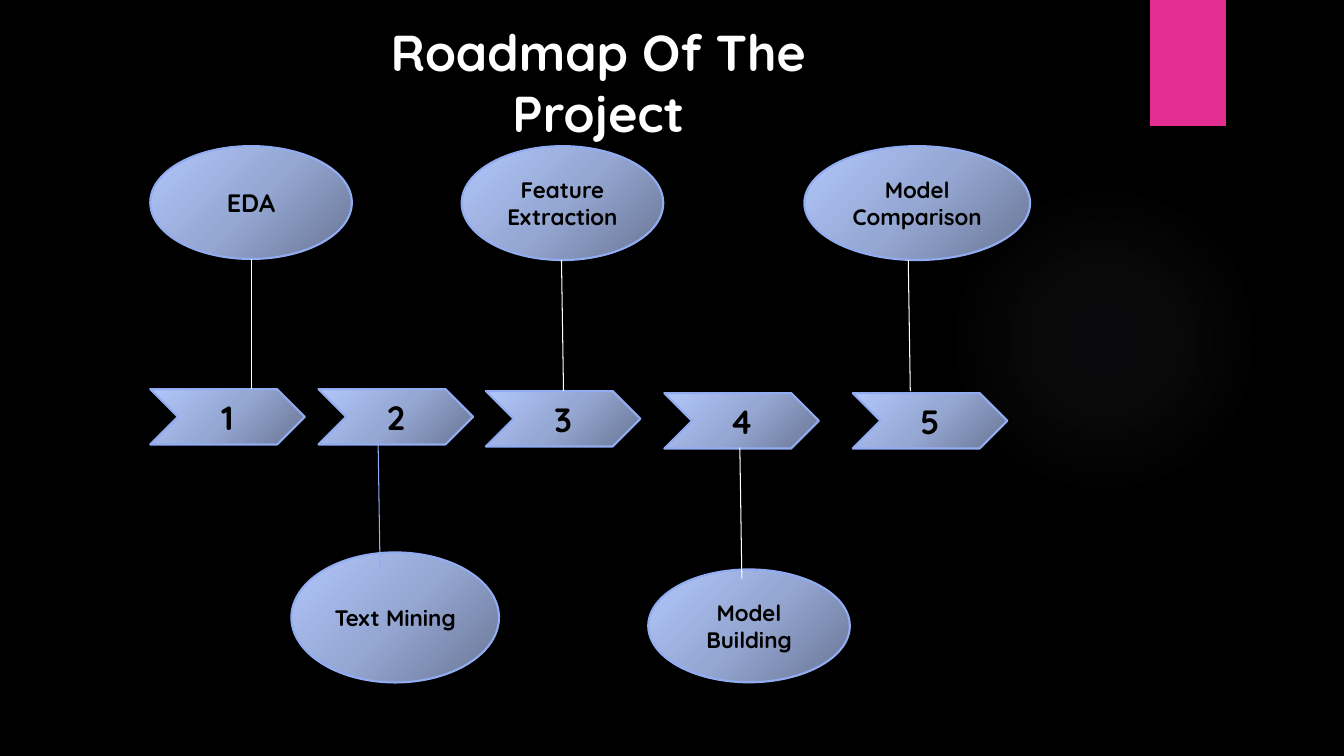
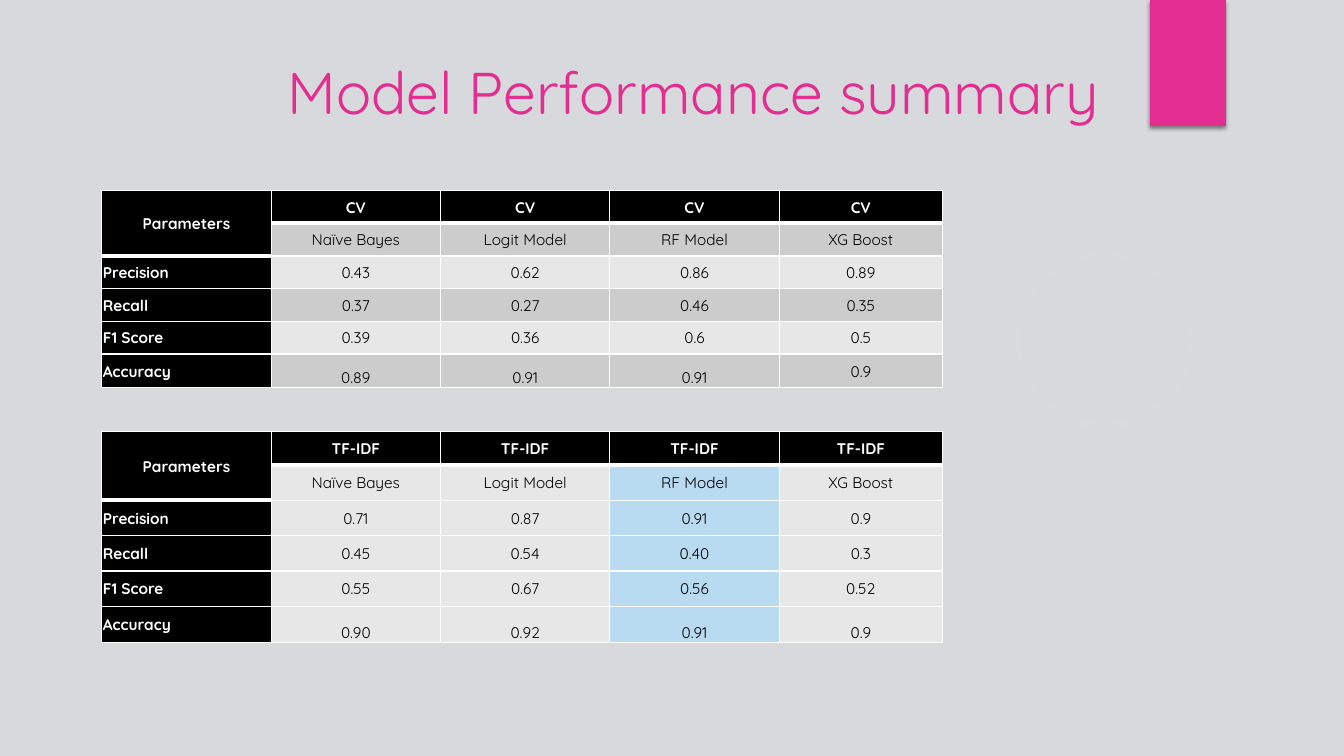
"""Builds two slides: a project roadmap and a summary of model performance."""
import pptx
import pptx.dml.color
import pptx.enum.shapes
import pptx.enum.text
import pptx.oxml
import pptx.oxml.ns
import pptx.util

RGBColor = pptx.dml.color.RGBColor
SHAPES = pptx.enum.shapes.MSO_SHAPE
ALIGN = pptx.enum.text.PP_ALIGN
ANCHOR = pptx.enum.text.MSO_ANCHOR

FONT = "Quicksand"
BLACK = RGBColor(0x00, 0x00, 0x00)
WHITE = RGBColor(0xFF, 0xFF, 0xFF)
PINK = RGBColor(0xE3, 0x2D, 0x91)
PALE_GREY = RGBColor(0xD8, 0xD9, 0xDC)
PERIWINKLE = RGBColor(0x91, 0xAC, 0xF1)
LIGHT_ROW = RGBColor(0xE7, 0xE7, 0xE7)
DARK_ROW = RGBColor(0xCC, 0xCC, 0xCC)
BEST_MODEL = RGBColor(0xB8, 0xDB, 0xF1)
GLOW_ON_BLACK = RGBColor(0x8A, 0x8A, 0x9C)
GLOW_ON_GREY = RGBColor(0xE8, 0xE8, 0xEA)
STEP_STOPS = [
    (0, RGBColor(0x69, 0x75, 0x94), 100),
    (50, RGBColor(0x95, 0xA7, 0xD3), 100),
    (100, RGBColor(0xB1, 0xC6, 0xFA), 100),
]
DIAGONAL = '<a:lin ang="13500000" scaled="0"/>'
RADIAL = '<a:path path="circle"><a:fillToRect l="50000" t="50000" r="50000" b="50000"/></a:path>'
NS = pptx.oxml.ns.nsdecls("a")

deck = pptx.Presentation()
deck.slide_width = pptx.util.Inches(13.33)
deck.slide_height = pptx.util.Inches(7.5)


def box(*percents):
    """Turn alternating shares of slide width and height into lengths."""
    sides = (deck.slide_width, deck.slide_height) * 2
    return [pptx.util.Emu(round(share * side / 100)) for share, side in zip(percents, sides)]


def write(frame, words, size, color, bold=False, align=ALIGN.CENTER, anchor=ANCHOR.MIDDLE):
    """Fill a text frame with one formatted paragraph."""
    frame.text = words
    frame.word_wrap = True
    frame.vertical_anchor = anchor
    paragraph = frame.paragraphs[0]
    paragraph.alignment = align
    font = paragraph.runs[0].font
    font.name, font.size, font.bold = FONT, pptx.util.Pt(size), bold
    font.color.rgb = color


layout = deck.slide_layouts.get_by_name("Title Only")
roadmap = deck.slides.add_slide(layout)
summary = deck.slides.add_slide(layout)
gradients = []

band = roadmap.shapes.add_shape(SHAPES.RECTANGLE, *box(85.58, 0, 5.63, 16.67))
band.fill.solid()
band.fill.fore_color.rgb = PINK
band.line.fill.background()
band.shadow.inherit = False
band.element.spPr.find(pptx.oxml.ns.qn("a:effectLst")).append(pptx.oxml.parse_xml(
    f'<a:outerShdw {NS} blurRad="38100" dist="25400" dir="5400000" rotWithShape="0">'
    f'<a:srgbClr val="{BLACK}"><a:alpha val="45000"/></a:srgbClr></a:outerShdw>'))
layout.shapes.element.append(band.element)

for slide, backdrop, glow_color, heading, area, size, color, bold, align in [
    (roadmap, BLACK, GLOW_ON_BLACK, "Roadmap Of The Project",
     (21.68, 2.13, 45.68, 9.47), 36, WHITE, True, ALIGN.CENTER),
    (summary, PALE_GREY, GLOW_ON_GREY, "Model Performance summary",
     (5.33, 6.67, 77.18, 20.4), 42, PINK, False, ALIGN.RIGHT),
]:
    slide.background.fill.solid()
    slide.background.fill.fore_color.rgb = backdrop
    glow = slide.shapes.add_shape(SHAPES.OVAL, *box(70.58, 24.4, 23.1, 41.07))
    glow.line.fill.background()
    glow.shadow.inherit = False
    gradients.append((glow, [(stop, glow_color, alpha) for stop, alpha in ((0, 7), (36, 6), (69, 0))], RADIAL))
    title = slide.shapes.title
    title.left, title.top, title.width, title.height = box(*area)
    write(title.text_frame, heading, size, color, bold, align, ANCHOR.TOP)
    title.text_frame.auto_size = pptx.enum.text.MSO_AUTO_SIZE.NONE

steps = [
    ("EDA", 18, (11.18, 51.47), (11.18, 19.33, 15, 14.93), (18.68, 34.27, 18.68, 51.47), WHITE),
    ("Text Mining", 16, (23.7, 51.47), (21.68, 73.07, 15.45, 17.2), (28.13, 58.13, 28.28, 75.33), PERIWINKLE),
    ("Feature Extraction", 16, (36.15, 51.73), (34.35, 19.33, 15, 15.07), (41.78, 34.4, 41.93, 51.73), WHITE),
    ("Model Building", 16, (49.43, 52), (48.23, 75.33, 15, 14.93), (55.05, 59.2, 55.2, 76.53), WHITE),
    ("Model Comparison", 16, (63.45, 52), (59.85, 19.33, 16.8, 15.07), (67.58, 34.4, 67.73, 51.73), WHITE),
]
for number, (stage, size, corner, bubble, stem, stem_color) in enumerate(steps, 1):
    for preset, area, words, points in [
        (SHAPES.CHEVRON, (*corner, 11.5, 7.33), str(number), 24),
        (SHAPES.OVAL, bubble, stage, size),
    ]:
        marker = roadmap.shapes.add_shape(preset, *box(*area))
        marker.line.color.rgb = PERIWINKLE
        marker.line.width = pptx.util.Pt(1.5)
        marker.shadow.inherit = False
        write(marker.text_frame, words, points, BLACK, True)
        gradients.append((marker, STEP_STOPS, DIAGONAL))
    link = roadmap.shapes.add_connector(pptx.enum.shapes.MSO_CONNECTOR.STRAIGHT, *box(*stem))
    link.line.color.rgb = stem_color
    link.line.width = pptx.util.Pt(0.75)
    link.element.spPr.append(pptx.oxml.parse_xml(f"<a:effectLst {NS}/>"))

for shape, stops, direction in gradients:
    shape.fill.background()
    blank = shape.element.spPr.find(pptx.oxml.ns.qn("a:noFill"))
    stop_list = "".join(
        f'<a:gs pos="{stop * 1000}"><a:srgbClr val="{color}"><a:alpha val="{alpha * 1000}"/></a:srgbClr></a:gs>'
        for stop, color, alpha in stops)
    blank.getparent().replace(blank, pptx.oxml.parse_xml(
        f'<a:gradFill {NS} rotWithShape="1"><a:gsLst>{stop_list}</a:gsLst>{direction}</a:gradFill>'))

models = ["", "Naïve Bayes", "Logit Model", "RF Model", "XG Boost"]
column_shares = [12.6] * 4 + [12.15]
score_tables = [
    ("CV", 25.2, [4.33] * 5 + [4.48], [
        ["Precision", "0.43", "0.62", "0.86", "0.89"],
        ["Recall", "0.37", "0.27", "0.46", "0.35"],
        ["F1 Score", "0.39", "0.36", "0.6", "0.5"],
        ["Accuracy", "0.89", "0.91", "0.91", "0.9"],
    ]),
    ("TF-IDF", 57.07, [4.45] + [4.67] * 4 + [4.8], [
        ["Precision", "0.71", "0.87", "0.91", "0.9"],
        ["Recall", "0.45", "0.54", "0.40", "0.3"],
        ["F1 Score", "0.55", "0.67", "0.56", "0.52"],
        ["Accuracy", "0.90", "0.92", "0.91", "0.9"],
    ]),
]
for features, top, row_shares, scores in score_tables:
    rows = [["Parameters"] + [features] * 4, models] + scores
    area = box(7.58, top, sum(column_shares), sum(row_shares))
    table = summary.shapes.add_table(len(rows), len(models), *area).table
    for column, share in zip(table.columns, column_shares):
        column.width = box(share)[0]
    for row, share in zip(table.rows, row_shares):
        row.height = box(0, share)[1]
    table.cell(0, 0).merge(table.cell(1, 0))
    for r, values in enumerate(rows):
        for c, value in enumerate(values):
            cell = table.cell(r, c)
            heading = r == 0 or c == 0
            cell.margin_left = cell.margin_right = cell.margin_top = pptx.util.Inches(0.01)
            cell.margin_bottom = 0
            if value:
                sunk = r == 5 and c > 0 and (features, c) != ("CV", 4)
                write(cell.text_frame, value, 11, WHITE if heading else BLACK, heading,
                      ALIGN.LEFT if c == 0 and r > 0 else ALIGN.CENTER)
                cell.vertical_anchor = ANCHOR.BOTTOM if sunk else ANCHOR.MIDDLE
            thick_below = r == 0 or (r, c) == (1, 0)
            thick_above = (r == 1 and c > 0) or (r, c) == (2, 0)
            for side, thick in (("L", False), ("R", False), ("T", thick_above), ("B", thick_below)):
                cell._tc.get_or_add_tcPr().append(pptx.oxml.parse_xml(
                    f'<a:ln{side} {NS} w="{pptx.util.Pt(3 if thick else 1)}">'
                    f'<a:solidFill><a:srgbClr val="{WHITE}"/></a:solidFill></a:ln{side}>'))
            cell.fill.solid()
            if heading:
                cell.fill.fore_color.rgb = BLACK
            elif features == "TF-IDF":
                cell.fill.fore_color.rgb = BEST_MODEL if c == 3 else LIGHT_ROW
            else:
                cell.fill.fore_color.rgb = DARK_ROW if r % 2 else LIGHT_ROW

deck.save("out.pptx")
